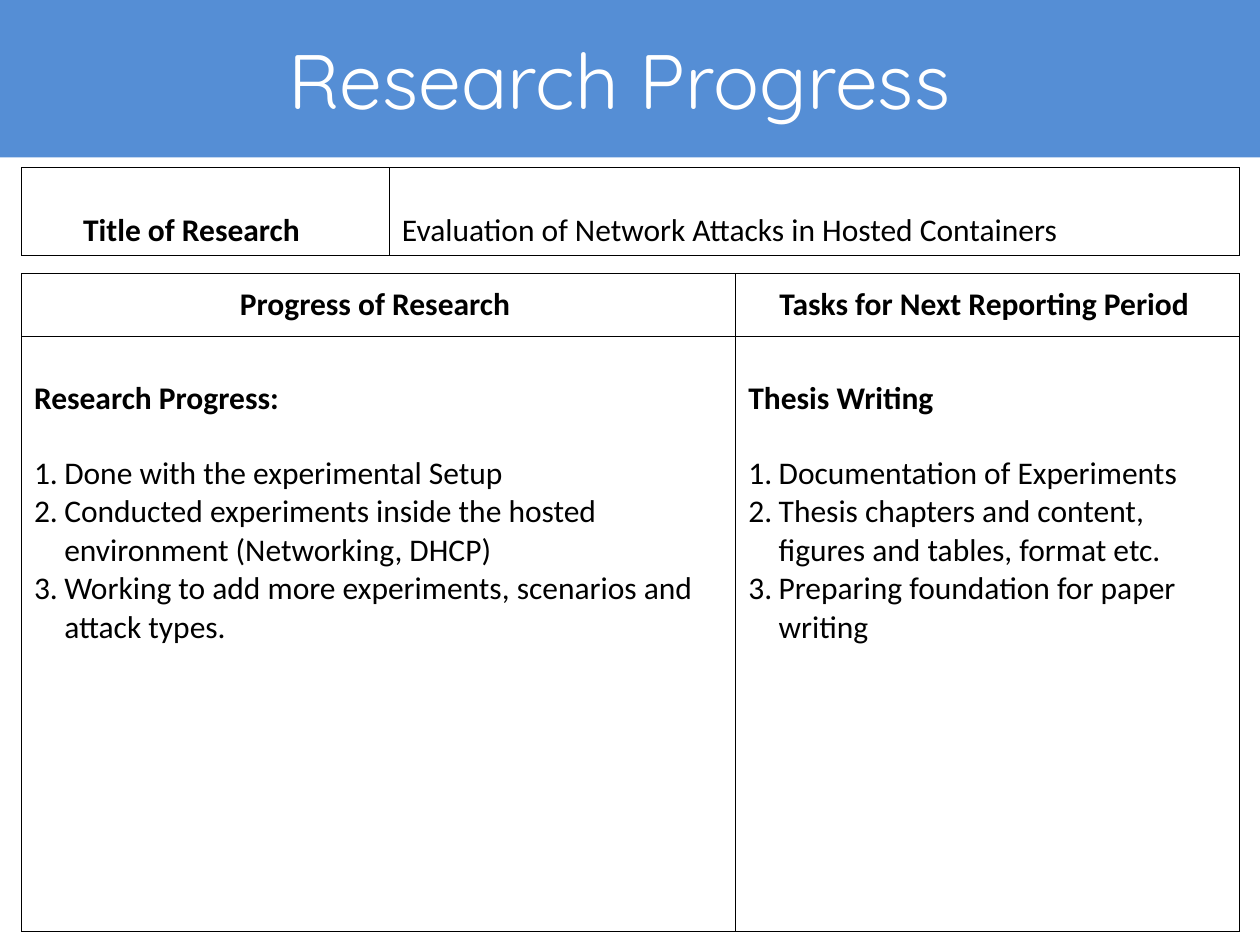
from lxml import etree
from pptx import Presentation, util as u
from pptx.dml.color import RGBColor
from pptx.enum import shapes, text
from pptx.oxml.ns import qn

BLUE = RGBColor(0x55, 0x8E, 0xD5)
WHITE = RGBColor(0xFF, 0xFF, 0xFF)
BLACK = RGBColor(0, 0, 0)
LEFT = u.Inches(0.17)
INDENT = u.Inches(0.24)
BODY_TOP = u.Inches(0.34)
GAP = u.Pt(21)
BORDER = u.Pt(0.45)
ALIGN = text.PP_ALIGN
ANCHOR = text.MSO_ANCHOR

TITLE = dict(name="Quicksand", size=u.Pt(44))
PLAIN = dict(name="Calibri", size=u.Pt(18), bold=False)
BOLD = dict(PLAIN, bold=True)

PROGRESS = [
    "Done with the experimental Setup",
    "Conducted experiments inside the hosted environment (Networking, DHCP)",
    "Working to add more experiments, scenarios and attack types.",
]
TASKS = [
    "Documentation of Experiments",
    "Thesis chapters and content, figures and tables, format etc.",
    "Preparing foundation for paper writing",
]


def write(p, words, fmt, color=BLACK, align=ALIGN.LEFT):
    """Put one formatted run into a paragraph."""
    p.alignment = align
    r = p.add_run()
    r.text = words
    for key, value in fmt.items():
        setattr(r.font, key, value)
    r.font.color.rgb = color


def number(p):
    """Give a paragraph a hanging automatic number."""
    pPr = p._p.get_or_add_pPr()
    pPr.set("marL", str(INDENT))
    pPr.set("indent", str(-INDENT))
    clr = etree.SubElement(pPr, qn("a:buClr"))
    etree.SubElement(clr, qn("a:srgbClr"), val=str(BLACK))
    etree.SubElement(pPr, qn("a:buFont"), typeface="Calibri")
    etree.SubElement(pPr, qn("a:buAutoNum"), type="arabicPeriod")


def style_cell(cell):
    """Draw thin black borders around an unfilled cell."""
    tcPr = cell._tc.get_or_add_tcPr()
    for side in ("lnL", "lnR", "lnT", "lnB"):
        ln = etree.SubElement(tcPr, qn(f"a:{side}"), w=str(BORDER))
        fill = etree.SubElement(ln, qn("a:solidFill"))
        etree.SubElement(fill, qn("a:srgbClr"), val=str(BLACK))
    cell.fill.background()


def add_grid(s, top, widths, heights):
    """Add a plain bordered table and return it."""
    frame = s.shapes.add_table(len(heights), len(widths), LEFT, u.Inches(top),
                               u.Inches(sum(widths)), u.Inches(sum(heights)))
    table = frame.table
    table.first_row = table.horz_banding = False
    for col, width in zip(table.columns, widths):
        col.width = u.Inches(width)
    for row, height in zip(table.rows, heights):
        row.height = u.Inches(height)
    for cell in table.iter_cells():
        style_cell(cell)
    return table


def fill_list(cell, heading, items):
    """Write a bold heading and a numbered list into a cell."""
    cell.margin_top = BODY_TOP
    tf = cell.text_frame
    write(tf.paragraphs[0], heading, BOLD)
    tf.paragraphs[0].space_after = GAP
    for item in items:
        p = tf.add_paragraph()
        number(p)
        write(p, item, PLAIN)


def add_banner(s, width, words):
    """Add the title band across the top."""
    sp = s.shapes.add_shape(shapes.MSO_SHAPE.RECTANGLE, 0, 0, width, u.Inches(1.25))
    sp.shadow.inherit = False
    sp.fill.solid()
    sp.fill.fore_color.rgb = BLUE
    sp.line.fill.background()
    sp.text_frame.vertical_anchor = ANCHOR.MIDDLE
    write(sp.text_frame.paragraphs[0], words, TITLE, WHITE, ALIGN.CENTER)


def add_topic(s):
    """Add the table that names the research."""
    table = add_grid(s, 1.33, [2.92, 6.75], [0.7])
    label, topic = table.iter_cells()
    label.margin_left = u.Inches(0.49)
    for cell, words, fmt in ((label, "Title of Research", BOLD),
                             (topic, "Evaluation of Network Attacks in Hosted Containers", PLAIN)):
        cell.vertical_anchor = ANCHOR.BOTTOM
        write(cell.text_frame.paragraphs[0], words, fmt)


def add_report(s):
    """Add the table of progress and next tasks."""
    table = add_grid(s, 2.17, [5.67, 4], [0.5, 4.72])
    columns = [
        ("Progress of Research ", "Research Progress:", PROGRESS),
        ("Tasks for Next Reporting Period ", "Thesis Writing", TASKS),
    ]
    for i, (header, heading, items) in enumerate(columns):
        cell = table.cell(0, i)
        cell.vertical_anchor = ANCHOR.MIDDLE
        write(cell.text_frame.paragraphs[0], header, BOLD, align=ALIGN.CENTER)
        fill_list(table.cell(1, i), heading, items)


def main():
    """Build the slide and save it."""
    prs = Presentation()
    prs.slide_width, prs.slide_height = u.Inches(10), u.Inches(7.5)
    s = prs.slides.add_slide(prs.slide_layouts[6])
    add_banner(s, prs.slide_width, "Research Progress ")
    add_topic(s)
    add_report(s)
    prs.save("out.pptx")


if __name__ == "__main__":
    main()
